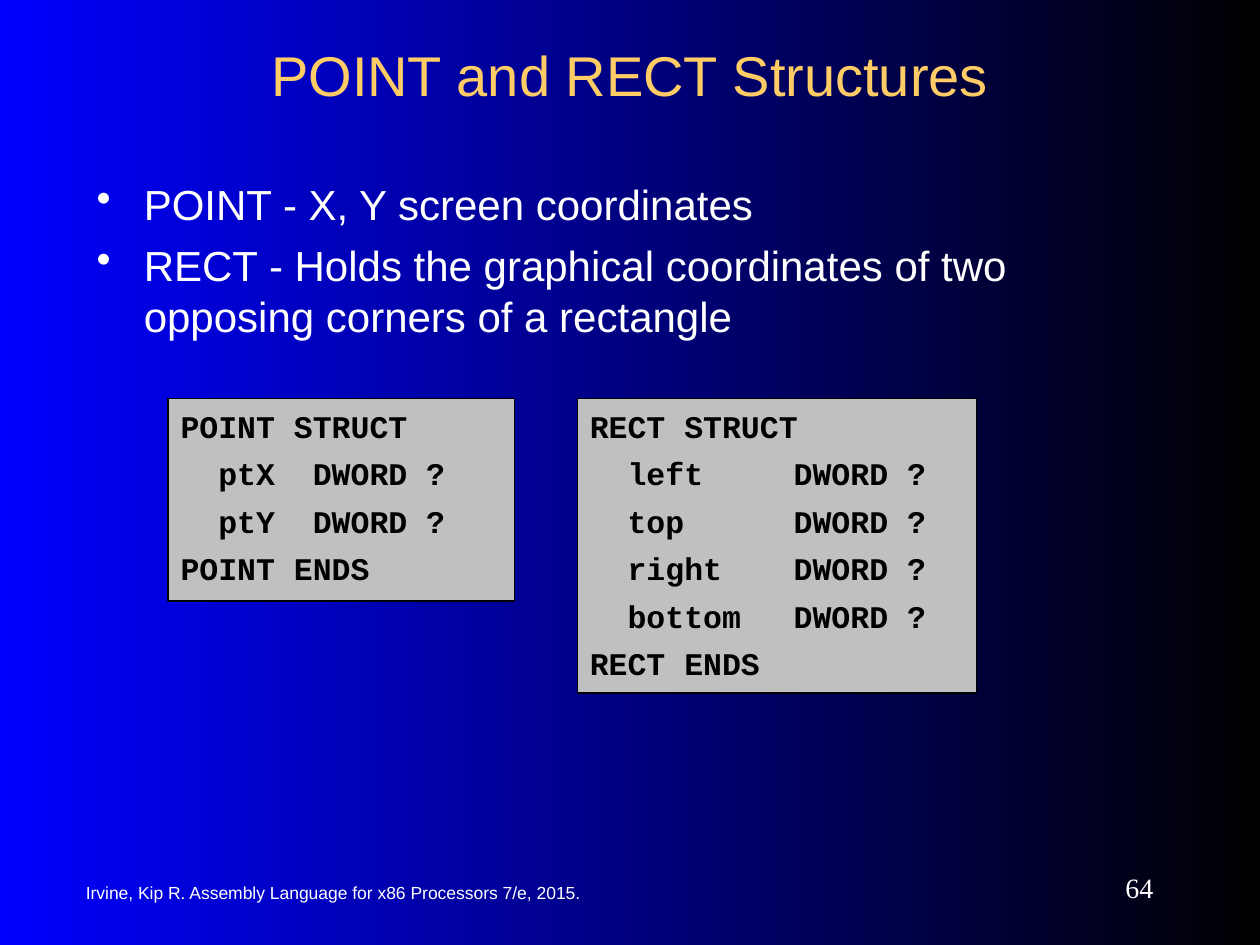
import pptx
import pptx.dml.color
import pptx.enum.shapes
import pptx.enum.text
import pptx.oxml.ns
import pptx.util
from lxml import etree
from pptx.util import Cm

ALIGN = pptx.enum.text.PP_ALIGN
ANCHOR = pptx.enum.text.MSO_ANCHOR
WHITE = "FFFFFF"


def rgb(value):
    return pptx.dml.color.RGBColor.from_string(value)


def sub(parent, tag, **attrs):
    return etree.SubElement(parent, pptx.oxml.ns.qn(tag), **attrs)


def add_bullet(p, color):
    pPr = p._p.get_or_add_pPr()
    pPr.set("marL", str(Cm(0.95)))
    pPr.set("indent", str(-Cm(0.95)))
    sub(sub(pPr, "a:buClr"), "a:srgbClr", val=color)
    sub(pPr, "a:buChar", char="•")


def add_tabs(p, stops):
    tabs = sub(p._p.get_or_add_pPr(), "a:tabLst")
    for stop in stops:
        sub(tabs, "a:tab", pos=str(Cm(stop)), algn="l")


def write(sp, text, size, font="Arial", color=WHITE, bold=False, align=ALIGN.LEFT,
          anchor=ANCHOR.TOP, before=0, spacing=None, bullet=False, tabs=()):
    tf = sp.text_frame
    tf.word_wrap = True
    tf.vertical_anchor = anchor
    for i, line in enumerate(text.split("\n")):
        p = tf.paragraphs[0] if i == 0 else tf.add_paragraph()
        if bullet:
            add_bullet(p, color)
        if tabs:
            add_tabs(p, tabs)
        p.alignment = align
        p.line_spacing = spacing
        if i:
            p.space_before = pptx.util.Pt(before)
        r = p.add_run()
        r.text = line
        r.font.size = pptx.util.Pt(size)
        r.font.name = font
        r.font.bold = bold
        r.font.color.rgb = rgb(color)


def add_text(s, left, top, width, height, text, size, **style):
    sp = s.shapes.add_textbox(Cm(left), Cm(top), Cm(width), Cm(height))
    write(sp, text, size, **style)


def add_code(s, left, width, height, code, tabs):
    sp = s.shapes.add_shape(pptx.enum.shapes.MSO_SHAPE.RECTANGLE,
                            Cm(left), Cm(8.03), Cm(width), Cm(height))
    sp.shadow.inherit = False
    sp.fill.solid()
    sp.fill.fore_color.rgb = rgb("C0C0C0")
    sp.line.color.rgb = rgb("000000")
    sp.line.width = pptx.util.Pt(0.75)
    tf = sp.text_frame
    tf.margin_top = tf.margin_bottom = Cm(0.38)
    write(sp, code, 18, font="Courier New", color="000000", bold=True,
          before=12, spacing=0.7, tabs=tabs)


def set_background(s, colors):
    fill = s.background.fill
    fill.gradient()
    fill.gradient_angle = 0
    for stop, color, position in zip(fill.gradient_stops, colors, (0, 1)):
        stop.color.rgb = rgb(color)
        stop.position = position


def main():
    prs = pptx.Presentation()
    prs.slide_width, prs.slide_height = Cm(25.4), Cm(19.05)
    s = prs.slides.add_slide(prs.slide_layouts[6])
    set_background(s, ("0000FF", "000000"))

    add_text(s, 1.9, 0.64, 21.6, 1.7, "POINT and RECT Structures", 32,
             color="FFCC66", align=ALIGN.CENTER, anchor=ANCHOR.MIDDLE)
    add_text(s, 1.7, 3.48, 20.75, 5.72,
             "POINT - X, Y screen coordinates\n"
             "RECT - Holds the graphical coordinates of two "
             "opposing corners of a rectangle",
             24, before=6, bullet=True)
    add_code(s, 3.39, 6.99, 4.09,
             "POINT STRUCT\n  ptX  DWORD ?\n  ptY  DWORD ?\nPOINT ENDS",
             (1.27, 10.31))
    add_code(s, 11.64, 8.05, 5.94,
             "RECT STRUCT\n  left\tDWORD ?\n  top\tDWORD ?\n"
             "  right\tDWORD ?\n  bottom\tDWORD ?\nRECT ENDS",
             (1.27, 4.11, 10.31))
    add_text(s, 1.48, 17.57, 10.6, 0.85,
             "Irvine, Kip R. Assembly Language for x86 Processors 7/e, 2015.",
             10, anchor=ANCHOR.MIDDLE)
    add_text(s, 20.75, 17.36, 2.75, 1.06, "64", 16, font="Times New Roman",
             align=ALIGN.RIGHT, anchor=ANCHOR.MIDDLE)
    prs.save("out.pptx")


if __name__ == "__main__":
    main()
